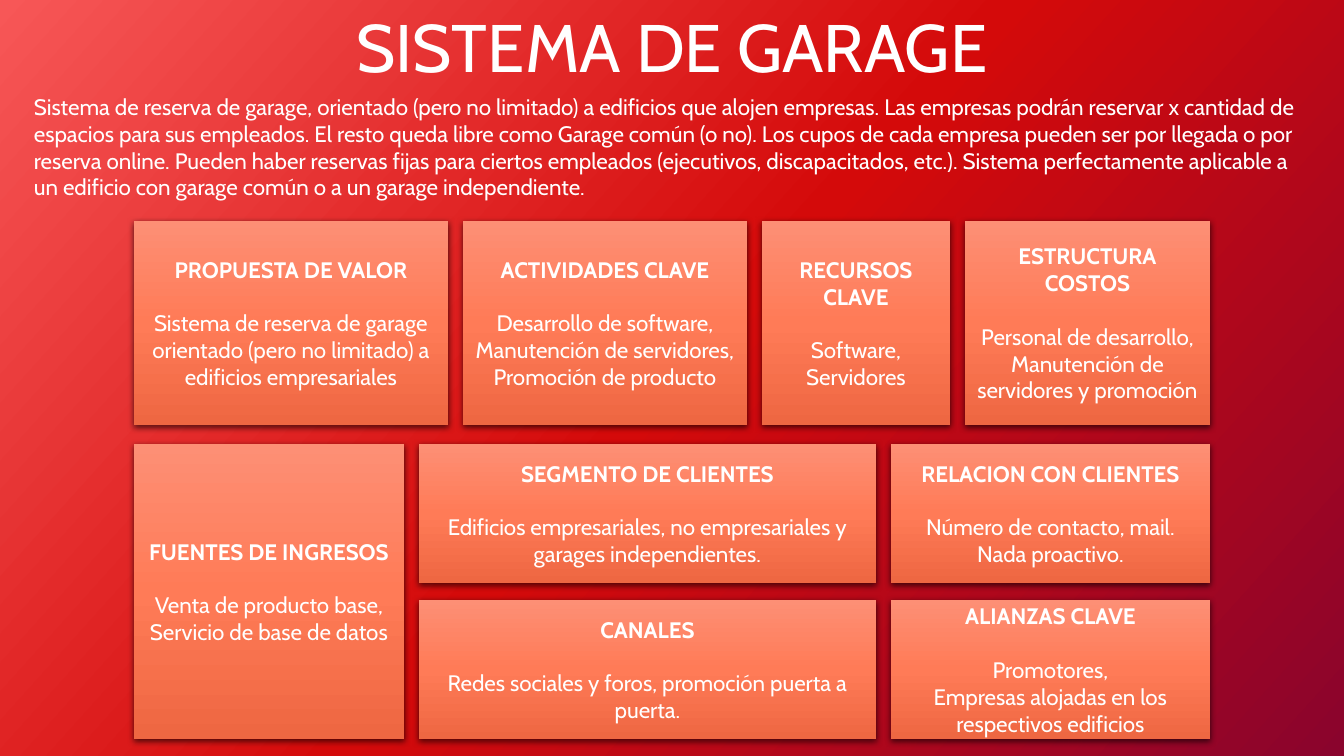
from copy import deepcopy

from lxml.etree import SubElement
from pptx import Presentation
from pptx.dml.color import RGBColor
from pptx.enum.shapes import MSO_SHAPE
from pptx.enum.text import MSO_ANCHOR, MSO_AUTO_SIZE, PP_ALIGN
from pptx.oxml.ns import qn
from pptx.util import Pt

EMU_PER_PX = 914400 / 100.8
FONT = "Cabin"
WHITE = "FFFFFF"
BACKGROUND_COLORS = ["F75757", "D40A0A", "8A042D"]
CARD_COLORS = ["FD8F75", "FF7B57", "EE6742"]
CARD_GAP = 15

DESCRIPTION = (
    "Sistema de reserva de garage, orientado (pero no limitado) a edificios que alojen "
    "empresas. Las empresas podrán reservar x cantidad de espacios para sus empleados. "
    "El resto queda libre como Garage común (o no). Los cupos de cada empresa pueden ser "
    "por llegada o por reserva online. Pueden haber reservas fijas para ciertos empleados "
    "(ejecutivos, discapacitados, etc.). Sistema perfectamente aplicable a un edificio con "
    "garage común o a un garage independiente."
)

# Each card: width, heading, body paragraphs
TOP_CARDS = [
    (314, "PROPUESTA DE VALOR",
     ["Sistema de reserva de garage orientado (pero no limitado) a edificios empresariales"]),
    (284, "ACTIVIDADES CLAVE",
     ["Desarrollo de software,", "Manutención de servidores,", "Promoción de producto"]),
    (188, "RECURSOS CLAVE", ["Software,", "Servidores"]),
    (245, "ESTRUCTURA COSTOS",
     ["Personal de desarrollo,", "Manutención de servidores y promoción"]),
]
INCOME_CARD = (270, "FUENTES DE INGRESOS",
               ["Venta de producto base,", "Servicio de base de datos"])
CLIENT_CARDS = [
    (457, "SEGMENTO DE CLIENTES",
     ["Edificios empresariales, no empresariales y garages independientes."]),
    (319, "RELACION CON CLIENTES", ["Número de contacto, mail. Nada proactivo."]),
]
CHANNEL_CARDS = [
    (457, "CANALES", ["Redes sociales y foros, promoción puerta a puerta."]),
    (319, "ALIANZAS CLAVE",
     ["Promotores,", "Empresas alojadas en los respectivos edificios"]),
]


def px(length):
    return round(length * EMU_PER_PX)


def rgb(hex_color):
    return RGBColor.from_string(hex_color)


def set_attributes(target, values):
    for name, value in values.items():
        setattr(target, name, value)


def apply_gradient(fill, owner, colors, clockwise_angle):
    """Fill with three evenly spaced colours; owner is the XML holding the fill."""
    fill.gradient()
    stop_list = owner.find(".//" + qn("a:gsLst"))
    stop_list.insert(1, deepcopy(stop_list[0]))
    for index, (stop, color) in enumerate(zip(fill.gradient_stops, colors)):
        stop.color.rgb = rgb(color)
        stop.position = index / 2
    fill.gradient_angle = 360 - clockwise_angle


def add_shadow(shape):
    shape.shadow.inherit = False
    effects = shape.element.spPr.find(qn("a:effectLst"))
    shadow = SubElement(effects, qn("a:outerShdw"), blurRad=str(Pt(4.5)),
                        dist=str(Pt(1.5)), dir="5400000", algn="ctr", rotWithShape="0")
    color = SubElement(shadow, qn("a:srgbClr"), val="000000")
    SubElement(color, qn("a:alpha"), val="63000")


def write_paragraph(paragraph, text, size, bold=False, align=PP_ALIGN.CENTER):
    paragraph.alignment = align
    run = paragraph.add_run()
    run.text = text
    set_attributes(run.font, {"name": FONT, "size": Pt(size), "bold": bold})
    run.font.color.rgb = rgb(WHITE)


def add_title(slide, box):
    title = slide.shapes.title
    set_attributes(title, dict(zip(("left", "top", "width", "height"), map(px, box))))
    set_attributes(title.text_frame, {"word_wrap": True, "vertical_anchor": MSO_ANCHOR.TOP,
                                      "auto_size": MSO_AUTO_SIZE.SHAPE_TO_FIT_TEXT})
    write_paragraph(title.text_frame.paragraphs[0], "SISTEMA DE GARAGE", 48)


def add_description(slide, box):
    frame = slide.shapes.add_textbox(*map(px, box)).text_frame
    set_attributes(frame, {"word_wrap": True,
                           "auto_size": MSO_AUTO_SIZE.SHAPE_TO_FIT_TEXT})
    write_paragraph(frame.paragraphs[0], DESCRIPTION, 16, align=PP_ALIGN.LEFT)


def add_card(shapes, box, heading, body):
    card = shapes.add_shape(MSO_SHAPE.RECTANGLE, *map(px, box))
    apply_gradient(card.fill, card.element.spPr, CARD_COLORS, 90)
    card.line.fill.background()
    add_shadow(card)
    frame = card.text_frame
    set_attributes(frame, {"word_wrap": True, "vertical_anchor": MSO_ANCHOR.MIDDLE})
    write_paragraph(frame.paragraphs[0], heading, 16, bold=True)
    for index, text in enumerate(body):
        paragraph = frame.add_paragraph()
        if index == 0:
            paragraph.space_before = Pt(19)
        write_paragraph(paragraph, text, 16)


def add_card_row(shapes, left, top, height, cards):
    for width, heading, body in cards:
        add_card(shapes, (left, top, width, height), heading, body)
        left += width + CARD_GAP


def add_canvas(slide, left, top):
    """Business model cards: one full row, then a tall card beside two rows."""
    shapes = slide.shapes.add_group_shape().shapes
    add_card_row(shapes, left, top, 204, TOP_CARDS)
    lower_top, row_height, row_gap = top + 223, 139, 17
    add_card_row(shapes, left, lower_top, 2 * row_height + row_gap, [INCOME_CARD])
    row_left = left + INCOME_CARD[0] + CARD_GAP
    for index, cards in enumerate((CLIENT_CARDS, CHANNEL_CARDS)):
        row_top = lower_top + index * (row_height + row_gap)
        add_card_row(shapes, row_left, row_top, row_height, cards)


def main():
    deck = Presentation()
    set_attributes(deck, {"slide_width": px(1344), "slide_height": px(756)})
    slide = deck.slides.add_slide(deck.slide_layouts.get_by_name("Title Only"))
    apply_gradient(slide.background.fill, slide.element, BACKGROUND_COLORS, 42)
    add_title(slide, (0, 0, 1344, 92))
    add_canvas(slide, 134, 221)
    add_description(slide, (24, 88, 1295, 119))
    deck.save("out.pptx")


if __name__ == "__main__":
    main()
